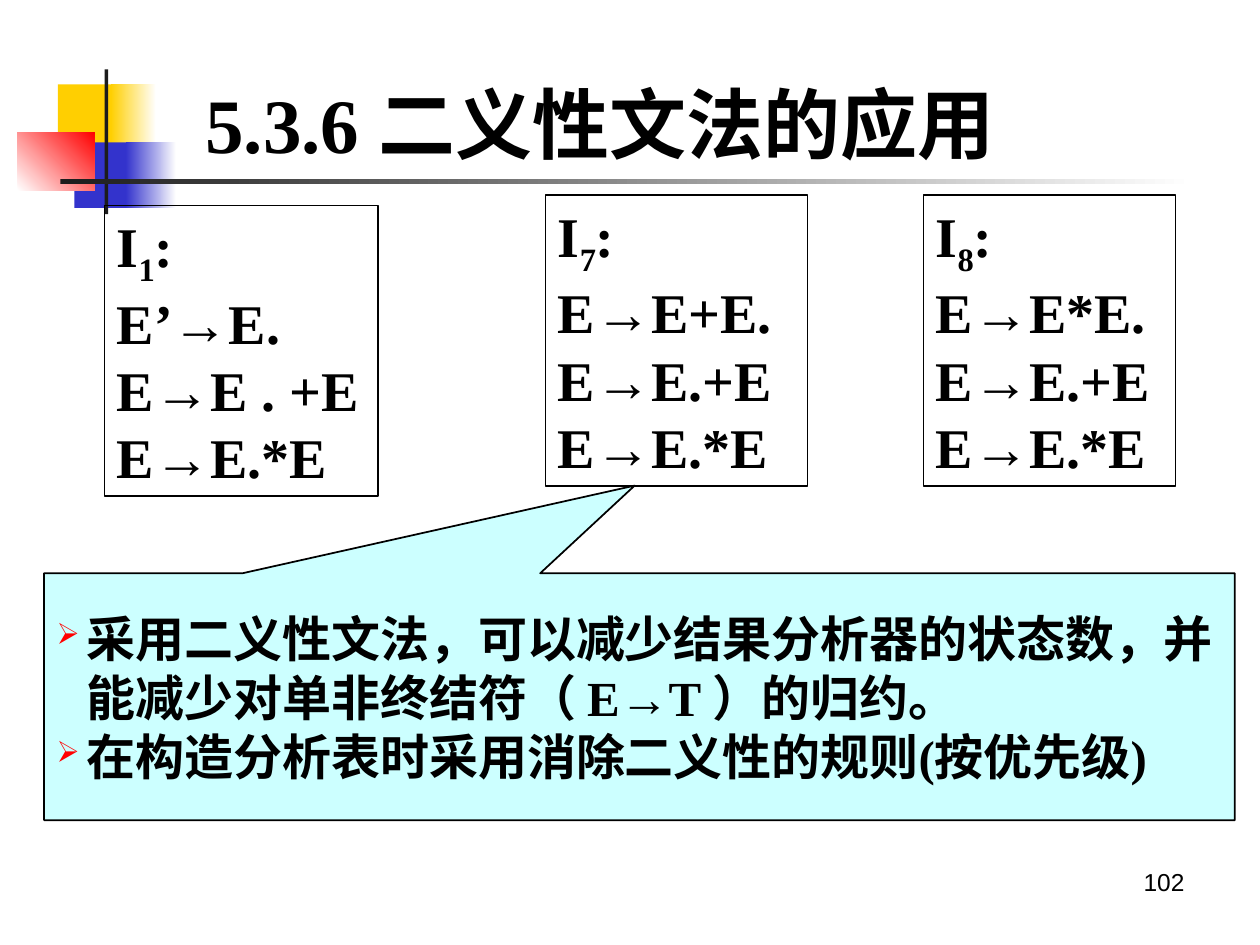
from pptx import Presentation
from pptx.dml.color import RGBColor
from pptx.enum.shapes import MSO_SHAPE
from pptx.enum.text import MSO_ANCHOR, MSO_AUTO_SIZE, PP_ALIGN
from pptx.oxml.ns import qn
from pptx.util import Inches, Pt
from lxml import etree

RECT, CALLOUT = MSO_SHAPE.RECTANGLE, MSO_SHAPE.RECTANGULAR_CALLOUT
LEFT, RIGHT = PP_ALIGN.LEFT, PP_ALIGN.RIGHT
TOP, MIDDLE = MSO_ANCHOR.TOP, MSO_ANCHOR.MIDDLE
BLACK, WHITE = RGBColor(0, 0, 0), RGBColor(255, 255, 255)
GOLD, BLUE = RGBColor(0xFF, 0xCF, 0x01), RGBColor(0x33, 0x33, 0xCC)
RED, DARK = RGBColor(255, 0, 0), RGBColor(0x1C, 0x1C, 0x1C)
CYAN = RGBColor(0xCC, 0xFF, 0xFF)
SERIF, SANS = "Times New Roman", "Arial"

TITLE = "5.3.6 二义性文法的应用"
PAGE = "102"
# left, top, width, height, colours, gradient angle
DECOR = [
    (0.46, 0.67, 0.48, 0.52, [GOLD], 0),
    (0.88, 0.67, 0.36, 0.52, [GOLD, WHITE], 0),
    (0.59, 1.13, 0.46, 0.52, [BLUE], 0),
    (1.00, 1.13, 0.40, 0.52, [BLUE, WHITE], 0),
    (0.14, 1.05, 0.61, 0.46, [WHITE, RED], 45),
    (0.83, 0.55, 0.03, 1.15, [DARK], 0),
    (0.48, 1.42, 9.00, 0.04, [DARK, WHITE], 0),
]
# left, top, width, state number, items
STATES = [
    (0.83, 1.63, 2.17, "1", ["E’→E.", "E→E . +E", "E→E.*E"]),
    (4.33, 1.55, 2.08, "7", ["E→E+E.", "E→E.+E E→E.*E"]),
    (7.33, 1.55, 2.00, "8", ["E→E*E.", "E→E.+E E→E.*E"]),
]
STATE_H = 2.31
NOTES = [
    "采用二义性文法，可以减少结果分析器的状态数，并能减少对单非终结符（ E→T ）的归约。",
    "在构造分析表时采用消除二义性的规则(按优先级)",
]


def add_box(slide, kind, *box):
    shape = slide.shapes.add_shape(kind, *map(Inches, box))
    shape.shadow.inherit = False
    return shape


def outline(shape):
    shape.line.color.rgb = BLACK
    shape.line.width = Pt(1)


def style(para, size, name=SERIF, bold=True, align=LEFT):
    para.alignment = align
    font = para.font
    font.size, font.name, font.bold = Pt(size), name, bold
    font.color.rgb = BLACK


def set_frame(frame, anchor):
    frame.word_wrap = True
    frame.auto_size = MSO_AUTO_SIZE.NONE
    frame.vertical_anchor = anchor


def add_bullet(para):
    props = para._p.get_or_add_pPr()
    props.set("marL", str(Inches(0.24)))
    props.set("indent", str(-Inches(0.24)))
    color = etree.SubElement(props, qn("a:buClr"))
    etree.SubElement(color, qn("a:srgbClr"), val=str(RED))
    etree.SubElement(props, qn("a:buSzPct"), val="60000")
    etree.SubElement(props, qn("a:buChar"), char="➢")


def add_decor(slide):
    for *box, colors, angle in DECOR:
        shape = add_box(slide, RECT, *box)
        shape.line.fill.background()
        if len(colors) == 1:
            shape.fill.solid()
            shape.fill.fore_color.rgb = colors[0]
        else:
            shape.fill.gradient()
            shape.fill.gradient_angle = angle
            for stop, color in zip(shape.fill.gradient_stops, colors):
                stop.color.rgb = color


def add_state(slide, left, top, width, number, items):
    shape = add_box(slide, RECT, left, top, width, STATE_H)
    shape.fill.background()
    outline(shape)
    frame = shape.text_frame
    set_frame(frame, TOP)
    head = frame.paragraphs[0]
    for text in ("I", number, ":"):
        run = head.add_run()
        run.text = text
        if text == number:
            run.font._element.set("baseline", "-25000")
    for item in items:
        frame.add_paragraph().text = item
    for para in frame.paragraphs:
        style(para, 32)


def add_notes(slide):
    shape = add_box(slide, CALLOUT, 0.35, 4.55, 9.45, 1.96)
    shape.adjustments[0], shape.adjustments[1] = -0.004, -0.855
    shape.fill.solid()
    shape.fill.fore_color.rgb = CYAN
    outline(shape)
    frame = shape.text_frame
    set_frame(frame, MIDDLE)
    frame.text = "\n".join(NOTES)
    for para in frame.paragraphs:
        add_bullet(para)
        style(para, 28)


def main():
    deck = Presentation()
    deck.slide_width, deck.slide_height = Inches(10), Inches(7.5)
    slide = deck.slides.add_slide(deck.slide_layouts[5])
    add_decor(slide)

    title = slide.shapes.title
    title.left, title.top = Inches(1.53), Inches(0.64)
    title.width, title.height = Inches(8.05), Inches(0.67)
    title.text = TITLE
    set_frame(title.text_frame, MIDDLE)
    style(title.text_frame.paragraphs[0], 44)

    for state in STATES:
        add_state(slide, *state)
    add_notes(slide)

    page = slide.shapes.add_textbox(*map(Inches, (7.17, 6.83, 2.33, 0.52)))
    page.text_frame.text = PAGE
    set_frame(page.text_frame, TOP)
    style(page.text_frame.paragraphs[0], 14, SANS, False, RIGHT)
    deck.save("out.pptx")


if __name__ == "__main__":
    main()
